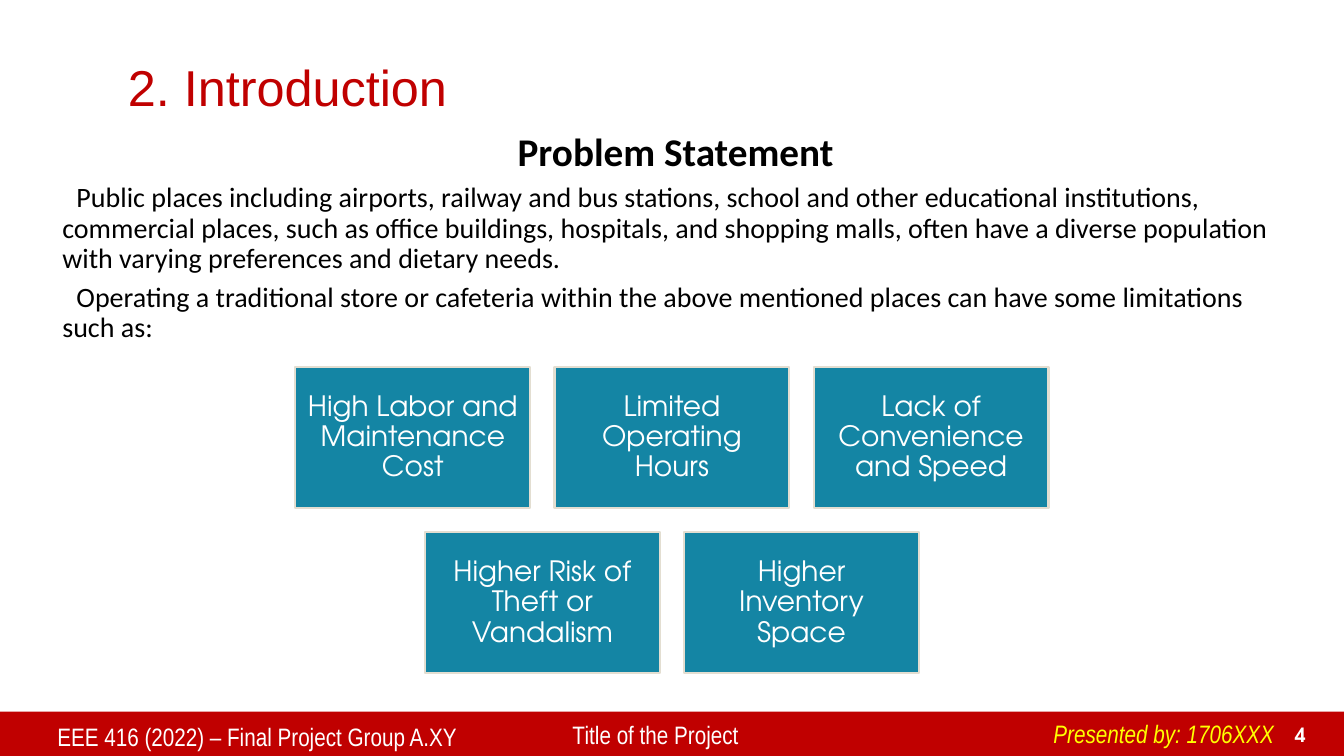
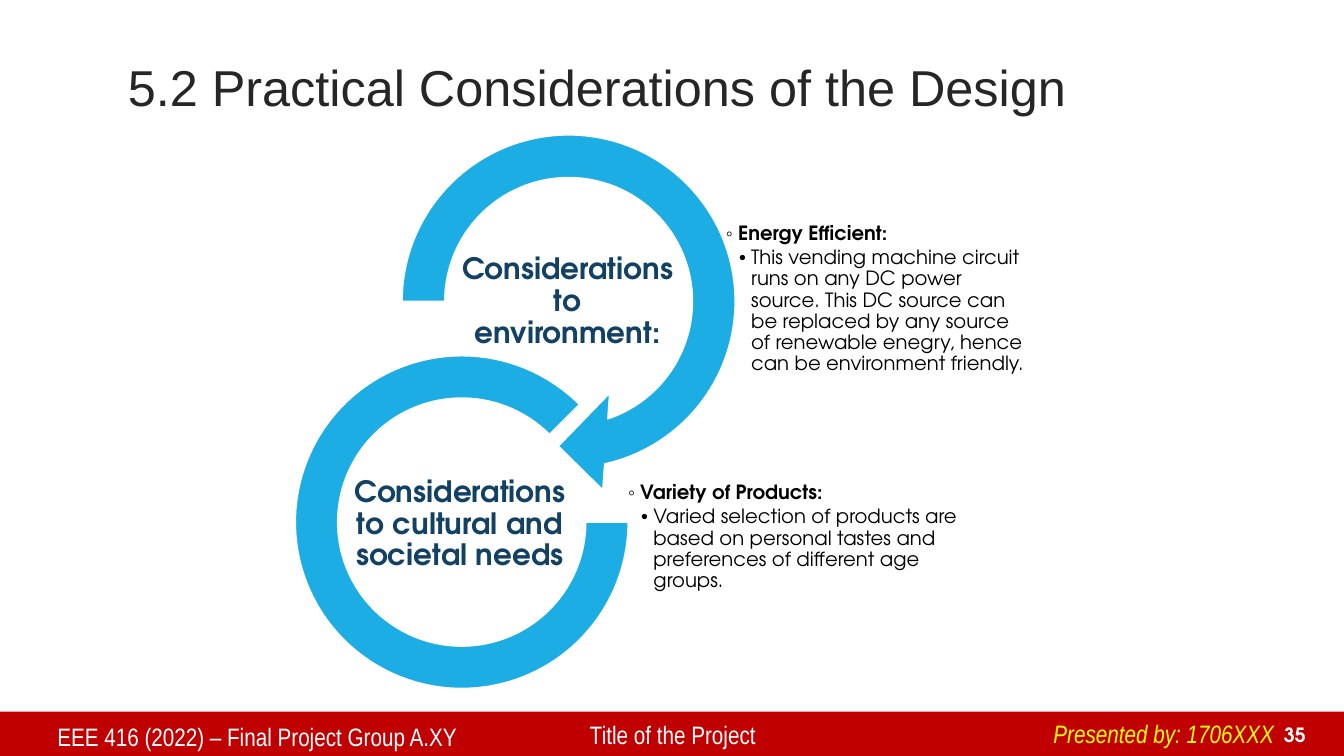
from pptx import Presentation
from pptx.dml.color import RGBColor
from pptx.enum.shapes import MSO_SHAPE
from pptx.enum.text import MSO_ANCHOR, PP_ALIGN
from pptx.oxml.ns import qn
from pptx.util import Inches, Pt
from lxml import etree

RECT, RING, ARROW = MSO_SHAPE.RECTANGLE, MSO_SHAPE.BLOCK_ARC, MSO_SHAPE.CIRCULAR_ARROW
TOP, MIDDLE, BOTTOM = MSO_ANCHOR.TOP, MSO_ANCHOR.MIDDLE, MSO_ANCHOR.BOTTOM
LEFT, CENTER, RIGHT = PP_ALIGN.LEFT, PP_ALIGN.CENTER, PP_ALIGN.RIGHT

RED = RGBColor(0xC0, 0x00, 0x00)
DARK = RGBColor(0x26, 0x26, 0x26)
BLACK = RGBColor(0x00, 0x00, 0x00)
WHITE = RGBColor(0xFF, 0xFF, 0xFF)
YELLOW = RGBColor(0xFF, 0xFF, 0x00)
TEAL = RGBColor(0x14, 0x85, 0xA4)
CREAM = RGBColor(0xE3, 0xDE, 0xD1)
SKY = RGBColor(0x1C, 0xAD, 0xE4)
NAVY = RGBColor(0x13, 0x41, 0x63)

TITLE_FONT, FOOTER_FONT = "Arial", "Arial Narrow"
BODY_FONT, DIAGRAM_FONT = "Calibri", "TeX Gyre Adventor"
SLIDE_W, SLIDE_H = 13.33, 7.5


# Text
def add_paragraph(tf, text, *, size, font, color, bold=False, italic=False,
                  align=LEFT, spacing=0.9, before=0, margin=0, indent=0, bullet=None):
    p = tf.paragraphs[0]
    if p.runs:
        p = tf.add_paragraph()
        p.space_before = Pt(before)
    p.alignment, p.line_spacing = align, spacing
    pPr = p._p.get_or_add_pPr()
    pPr.set("marL", str(Inches(margin)))
    pPr.set("indent", str(Inches(indent)))
    if bullet:
        etree.SubElement(pPr, qn("a:buFont")).set("typeface", "Arial")
        etree.SubElement(pPr, qn("a:buChar")).set("char", bullet)
    r = p.add_run()
    r.text = text
    r.font.name, r.font.size, r.font.color.rgb = font, Pt(size), color
    r.font.bold, r.font.italic = bold, italic


def set_frame(tf, anchor, inset):
    tf.word_wrap, tf.vertical_anchor = True, anchor
    x, y = inset
    tf.margin_left = tf.margin_right = Inches(x)
    tf.margin_top = tf.margin_bottom = Inches(y)


def add_box(s, x, y, w, h, anchor=TOP, inset=(0.1, 0.05)):
    tf = s.shapes.add_textbox(*map(Inches, (x, y, w, h))).text_frame
    set_frame(tf, anchor, inset)
    return tf


# Shapes
def add_filled(s, kind, x, y, w, h, fill, line=None, line_width=1, adjustments=()):
    sp = s.shapes.add_shape(kind, *map(Inches, (x, y, w, h)))
    sp.shadow.inherit = False
    sp.fill.solid()
    sp.fill.fore_color.rgb = fill
    if line is None:
        sp.line.fill.background()
    else:
        sp.line.color.rgb, sp.line.width = line, Pt(line_width)
    for i, value in enumerate(adjustments):
        sp.adjustments[i] = value
    return sp


# Title, band and footer shared by the slides
def add_slide(prs, title, number, title_color, project_x):
    s = prs.slides.add_slide(prs.slide_layouts[6])
    add_filled(s, RECT, 0, 7.06, SLIDE_W, 0.45, RED)
    add_paragraph(add_box(s, 1.17, 0.5, 11, 0.8, MIDDLE), title,
                  size=36, font=TITLE_FONT, color=title_color)
    footer = dict(size=18, font=FOOTER_FONT, spacing=1)
    add_paragraph(add_box(s, 0.47, 7.11, 5.1, 0.39),
                  "EEE 416 (2022) – Final Project Group A.XY", color=WHITE, **footer)
    add_paragraph(add_box(s, project_x, 7.09, 4.5, 0.41),
                  "Title of the Project", color=WHITE, **footer)
    presenter = add_box(s, 10.35, 7.08, 2.42, 0.4)
    presenter.word_wrap = False
    add_paragraph(presenter, "Presented by: 1706XXX", color=YELLOW, italic=True, **footer)
    add_paragraph(add_box(s, 12.48, 7.11, 0.57, 0.34, BOTTOM), number, size=14,
                  font=DIAGRAM_FONT, color=WHITE, bold=True, align=RIGHT, spacing=1)
    return s


# Rows of equal cards, each row centred on the slide
def add_cards(s, rows, top=3.64, w=2.33, h=1.4, gap=0.24):
    for i, row in enumerate(rows):
        left = (SLIDE_W - len(row) * (w + gap) + gap) / 2
        for j, text in enumerate(row):
            sp = add_filled(s, RECT, left + j * (w + gap), top + i * (h + gap), w, h,
                            TEAL, CREAM, 1.5)
            set_frame(sp.text_frame, MIDDLE, (0.08, 0.08))
            add_paragraph(sp.text_frame, text, size=20, font=DIAGRAM_FONT,
                          color=WHITE, align=CENTER)


# Label inside a ring
def add_ring_label(s, x, y, text):
    add_paragraph(add_box(s, x, y, 2.14, 1.07, MIDDLE, (0.01, 0.01)), text, size=21,
                  font=DIAGRAM_FONT, color=NAVY, bold=True, align=CENTER)


# Bulleted heading with a detail below it
def add_detail(s, x, y, w, heading, detail):
    tf = add_box(s, x, y, w, 2.02, MIDDLE, (0.01, 0.01))
    style = dict(size=14, font=DIAGRAM_FONT, color=BLACK, indent=-0.12, before=2)
    add_paragraph(tf, heading, bold=True, margin=0.12, bullet="◦", **style)
    add_paragraph(tf, detail, margin=0.25, bullet="•", **style)


def build_introduction(prs):
    s = add_slide(prs, "2. Introduction", "4", RED, 5.58)
    tf = add_box(s, 0.52, 1.27, 12.36, 2.3)
    add_paragraph(tf, "Problem Statement", size=28, font=BODY_FONT, color=BLACK,
                  bold=True, align=CENTER)
    for text in (
        "Public places including airports, railway and bus stations, school and other "
        "educational institutions, commercial places, such as office buildings, hospitals, "
        "and shopping malls, often have a diverse population with varying preferences and "
        "dietary needs.",
        "Operating a traditional store or cafeteria within the above mentioned places can "
        "have some limitations such as:",
    ):
        add_paragraph(tf, text, size=20, font=BODY_FONT, color=BLACK, before=6, indent=0.14)
    add_cards(s, [
        ["High Labor and Maintenance Cost", "Limited Operating Hours",
         "Lack of Convenience and Speed"],
        ["Higher Risk of Theft or Vandalism", "Higher Inventory Space"],
    ])


def build_considerations(prs):
    s = add_slide(prs, "5.2 Practical Considerations of the Design", "35", DARK, 5.75)
    add_filled(s, ARROW, 3.72, 1.07, 3.84, 3.84, SKY, WHITE,
               adjustments=(0.11, 11.42, 45, 108, 0.125))
    add_detail(s, 7.19, 1.96, 3.02, "Energy Efficient:",
               "This vending machine circuit runs on any DC power source. This DC source can "
               "be replaced by any source of renewable enegry, hence can be environment "
               "friendly.")
    add_ring_label(s, 4.56, 2.46, "Considerations to environment:")
    add_filled(s, RING, 2.93, 3.53, 3.3, 3.3, SKY, WHITE, adjustments=(0, 189, 0.127))
    add_detail(s, 6.22, 4.32, 3.38, "Variety of Products:",
               "Varied selection of products are based on personal tastes and preferences "
               "of different age groups.")
    add_ring_label(s, 3.49, 4.67, "Considerations to cultural and societal needs")


def main():
    prs = Presentation()
    prs.slide_width, prs.slide_height = Inches(SLIDE_W), Inches(SLIDE_H)
    build_introduction(prs)
    build_considerations(prs)
    prs.save("out.pptx")


if __name__ == "__main__":
    main()
